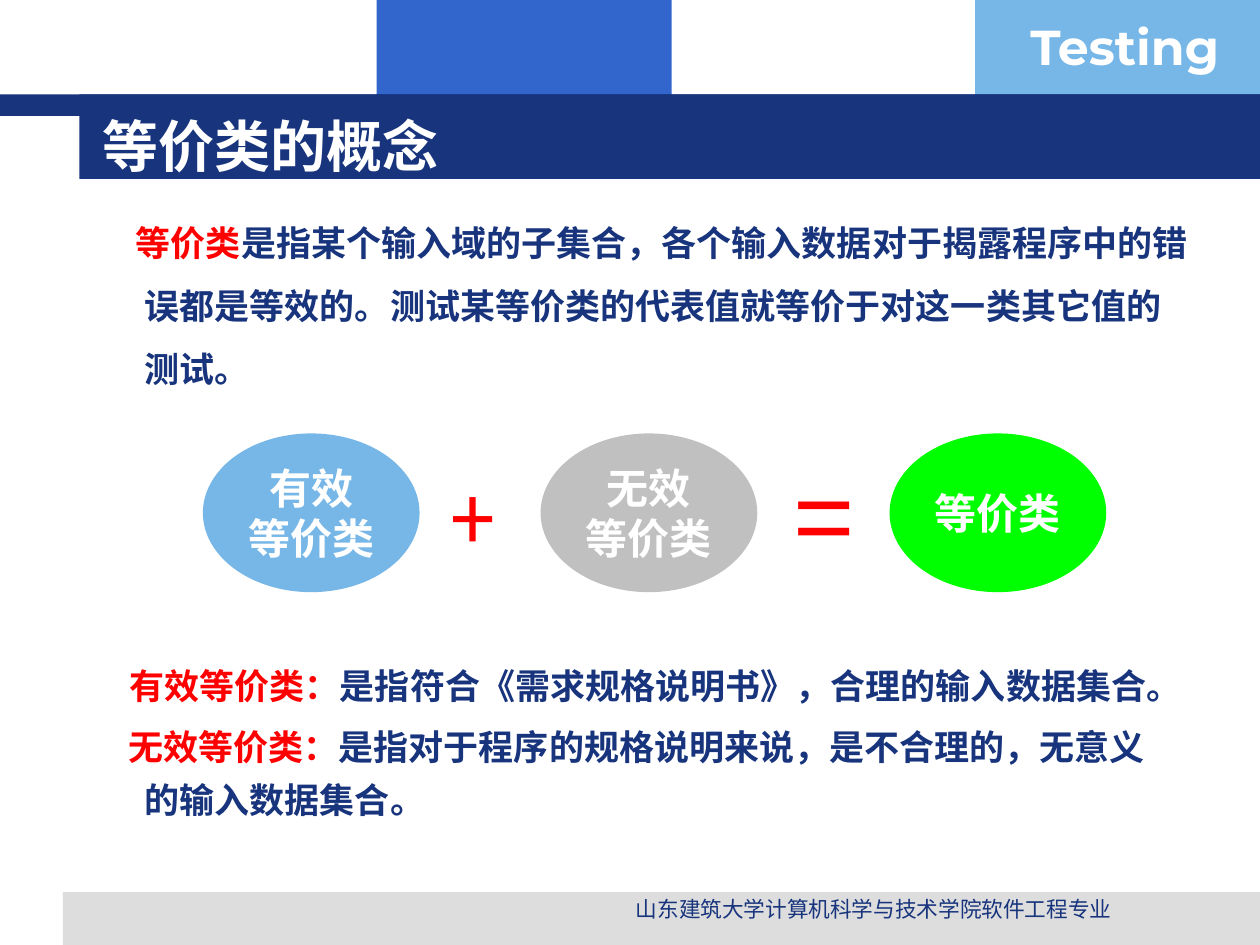
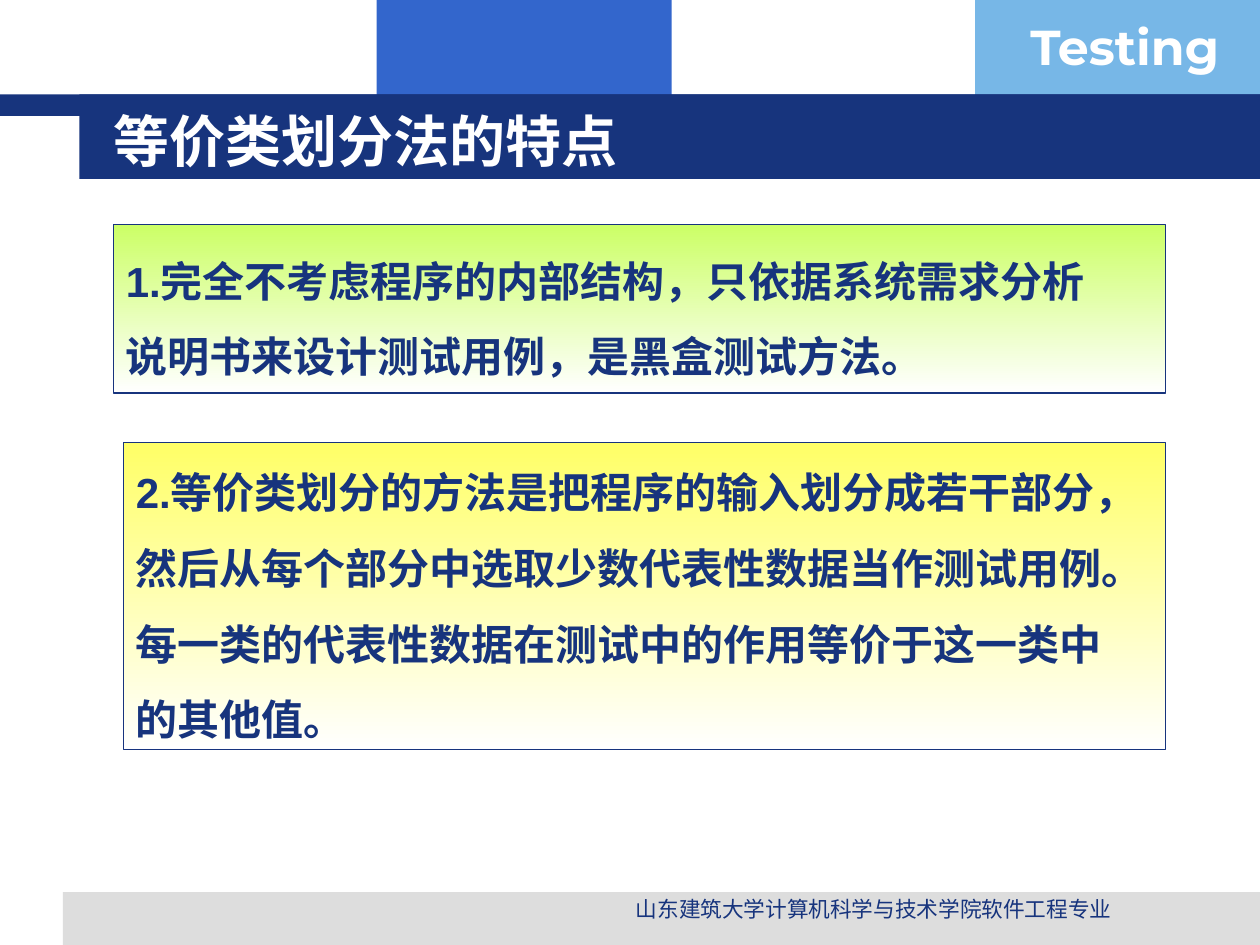
from collections import namedtuple

from lxml import etree
from pptx import Presentation
from pptx.dml.color import RGBColor
from pptx.enum.shapes import MSO_SHAPE
from pptx.enum.text import MSO_ANCHOR, MSO_AUTO_SIZE, PP_ALIGN
from pptx.oxml.ns import qn
from pptx.util import Inches, Pt

RECTANGLE, OVAL = MSO_SHAPE.RECTANGLE, MSO_SHAPE.OVAL
TOP, MIDDLE = MSO_ANCHOR.TOP, MSO_ANCHOR.MIDDLE
LEFT, CENTER = PP_ALIGN.LEFT, PP_ALIGN.CENTER
NO_AUTOFIT = MSO_AUTO_SIZE.NONE

COLUMNS, ROWS = 100, 75
SLIDE_WIDTH, SLIDE_HEIGHT = Inches(10), Inches(7.5)

NAVY, BLUE, SKY = "17347D", "3366CC", "77B7E7"
WHITE, PALE_GRAY, SILVER = "FFFFFF", "DDDDDD", "C0C0C0"
RED, GREEN, LIME, YELLOW = "FF0000", "00FF00", "CCFF66", "FFFF66"

BODY_FONT, TITLE_FONT, BRAND_FONT = "Arial", "Noto Sans CJK SC", "Montserrat"
BODY = dict(name=BODY_FONT, size=Pt(20), bold=True)
LARGE = dict(BODY, size=Pt(24))
OPERATOR = dict(name=BODY_FONT, size=Pt(60), bold=False)
TITLE = dict(name=TITLE_FONT, size=Pt(32), bold=True)
BRAND = dict(name=BRAND_FONT, size=Pt(28), bold=True)
FOOTER = dict(name=BODY_FONT, size=Pt(12.4), bold=False)

FRAME = dict(
    word_wrap=True,
    auto_size=NO_AUTOFIT,
    vertical_anchor=TOP,
    margin_left=Inches(0.1),
    margin_right=Inches(0.1),
    margin_top=Inches(0.05),
    margin_bottom=Inches(0.05),
)
HANGING_MARGIN = 0.38


class Box(namedtuple("Box", "column row columns rows")):
    def inner(self, column, row, columns, rows):
        return Box(self.column + column, self.row + row, columns, rows)

    def place(self):
        column_width, row_height = SLIDE_WIDTH / COLUMNS, SLIDE_HEIGHT / ROWS
        return (
            round(self.column * column_width),
            round(self.row * row_height),
            round(self.columns * column_width),
            round(self.rows * row_height),
        )


SLIDE = Box(0, 0, COLUMNS, ROWS)


def color(value):
    return RGBColor.from_string(value)


def apply(target, values):
    for name, value in values.items():
        setattr(target, name, value)


def write(frame, paragraphs, font, frame_values=None, paragraph_values=None):
    apply(frame, {**FRAME, **(frame_values or {})})
    for number, runs in enumerate(paragraphs):
        paragraph = frame.add_paragraph() if number else frame.paragraphs[0]
        apply(paragraph, {"alignment": LEFT, **(paragraph_values or {})})
        for words, shade in runs:
            run = paragraph.add_run()
            run.text = words
            apply(run.font, font)
            run.font.color.rgb = color(shade)
            east_asian = etree.SubElement(run._r.get_or_add_rPr(), qn("a:ea"))
            east_asian.set("typeface", font["name"])


def hang(paragraph, first_line):
    properties = paragraph._p.get_or_add_pPr()
    properties.set("marL", str(Inches(HANGING_MARGIN)))
    properties.set("indent", str(Inches(first_line - HANGING_MARGIN)))


def add_block(slide, box, fill, kind=RECTANGLE):
    block = slide.shapes.add_shape(kind, *box.place())
    block.shadow.inherit = False
    block.line.fill.background()
    block.fill.solid()
    block.fill.fore_color.rgb = color(fill)
    return block


def add_words(slide, box, paragraphs, font, **formats):
    words = slide.shapes.add_textbox(*box.place())
    write(words.text_frame, paragraphs, font, **formats)
    return words


def build_backdrop(slide, box):
    layout = slide.slide_layout
    for placeholder in list(layout.placeholders):
        if placeholder.placeholder_format.idx:
            layout.shapes.element.remove(placeholder.element)
    bands = [
        (29.9, 0, 23.4, 9.2, BLUE),
        (77.4, 0, 22.6, 9.2, SKY),
        (5, 70.8, 95, 4.2, PALE_GRAY),
        (0, 7.5, 100, 1.7, NAVY),
        (6.3, 7.5, 93.7, 6.7, NAVY),
    ]
    backdrop = [add_block(slide, box.inner(*place), fill) for *place, fill in bands]
    backdrop.append(
        add_words(slide, box.inner(80.8, 0.8, 19.3, 5.7), [[("Testing", WHITE)]], BRAND)
    )
    for piece in backdrop:
        layout.shapes.element.append(piece.element)


def build_heading(slide, box, heading):
    title = slide.shapes.title
    apply(title, dict(zip(("left", "top", "width", "height"), box.place())))
    write(title.text_frame, [[(heading, WHITE)]], TITLE, dict(vertical_anchor=MIDDLE))


def build_footer(slide, box):
    add_words(
        slide,
        box.inner(40.6, 70.6, 57.5, 3.1),
        [[("山东建筑大学计算机科学与技术学院软件工程专业", NAVY)]],
        FOOTER,
        paragraph_values=dict(alignment=CENTER),
    )


def build_definitions(slide, box, definitions, first_lines, margin_top, spacing):
    passage = add_words(
        slide,
        box,
        [[(term, RED), (meaning, NAVY)] for term, meaning in definitions],
        BODY,
        frame_values=dict(margin_top=Inches(margin_top)),
        paragraph_values=spacing,
    )
    for paragraph, first_line in zip(passage.text_frame.paragraphs, first_lines):
        hang(paragraph, first_line)


def build_equation(slide, box):
    classes = [
        (0, SKY, ["有效", "等价类"]),
        (26.8, SILVER, ["无效", "等价类"]),
        (54.5, GREEN, ["等价类"]),
    ]
    for column, fill, lines in classes:
        oval = add_block(slide, box.inner(column, 0, 17.2, box.rows), fill, OVAL)
        write(
            oval.text_frame,
            [[(line, WHITE)] for line in lines],
            LARGE,
            dict(vertical_anchor=MIDDLE, word_wrap=False),
            dict(alignment=CENTER),
        )
    for column, row, columns, sign in [(16.3, 0, 12.6, "﹢"), (45.9, 0.7, 9.6, "=")]:
        add_words(
            slide, box.inner(column, row, columns, 11), [[(sign, RED)]], OPERATOR
        )


def build_feature(slide, box, shade, lines):
    panel = add_block(slide, box, shade)
    panel.fill.gradient()
    panel.fill.gradient_angle = 270
    for stop, position, tone in zip(panel.fill.gradient_stops, (0, 1), (shade, WHITE)):
        stop.position = position
        stop.color.rgb = color(tone)
    panel.line.color.rgb = color(NAVY)
    panel.line.width = Pt(0.75)
    write(
        panel.text_frame,
        [[(line, NAVY)] for line in lines],
        LARGE,
        dict(vertical_anchor=MIDDLE, margin_top=0),
        dict(line_spacing=1.5),
    )


def build_concept(slide, box):
    build_heading(slide, box.inner(7.1, 9.2, 81.5, 4.7), "等价类的概念")
    build_definitions(
        slide,
        box.inner(6.7, 50.1, 86.6, 18.9),
        [
            ("有效等价类：", "是指符合《需求规格说明书》，合理的输入数据集合。"),
            (
                "无效等价类：",
                "是指对于程序的规格说明来说，是不合理的，无意义的输入数据集合。",
            ),
        ],
        (0.26, 0.25),
        0.18,
        dict(line_spacing=1.25, space_before=Pt(5)),
    )
    build_equation(slide, box.inner(16.1, 34.4, 71.7, 12.6))
    build_definitions(
        slide,
        box.inner(6.7, 15.4, 89, 16.5),
        [
            (
                "等价类",
                "是指某个输入域的子集合，各个输入数据对于揭露程序中的错误都是等效的。"
                "测试某等价类的代表值就等价于对这一类其它值的测试。",
            )
        ],
        (0.31,),
        0.05,
        dict(line_spacing=1.5),
    )


def build_features(slide, box):
    build_heading(slide, box.inner(8, 8, 85.3, 6.2), "等价类划分法的特点")
    build_feature(
        slide,
        box.inner(9, 17.8, 83.5, 13.4),
        LIME,
        [
            "1.完全不考虑程序的内部结构，只依据系统需求分析",
            "说明书来设计测试用例，是黑盒测试方法。",
        ],
    )
    build_feature(
        slide,
        box.inner(9.8, 35.1, 82.7, 24.4),
        YELLOW,
        [
            "2.等价类划分的方法是把程序的输入划分成若干部分，",
            "然后从每个部分中选取少数代表性数据当作测试用例。",
            "每一类的代表性数据在测试中的作用等价于这一类中",
            "的其他值。",
        ],
    )


def main():
    deck = Presentation()
    apply(deck, dict(slide_width=SLIDE_WIDTH, slide_height=SLIDE_HEIGHT))
    title_only = deck.slide_layouts.get_by_name("Title Only")
    for number, build in enumerate((build_concept, build_features)):
        slide = deck.slides.add_slide(title_only)
        if not number:
            build_backdrop(slide, SLIDE)
        build_footer(slide, SLIDE)
        build(slide, SLIDE)
    deck.save("out.pptx")


if __name__ == "__main__":
    main()
